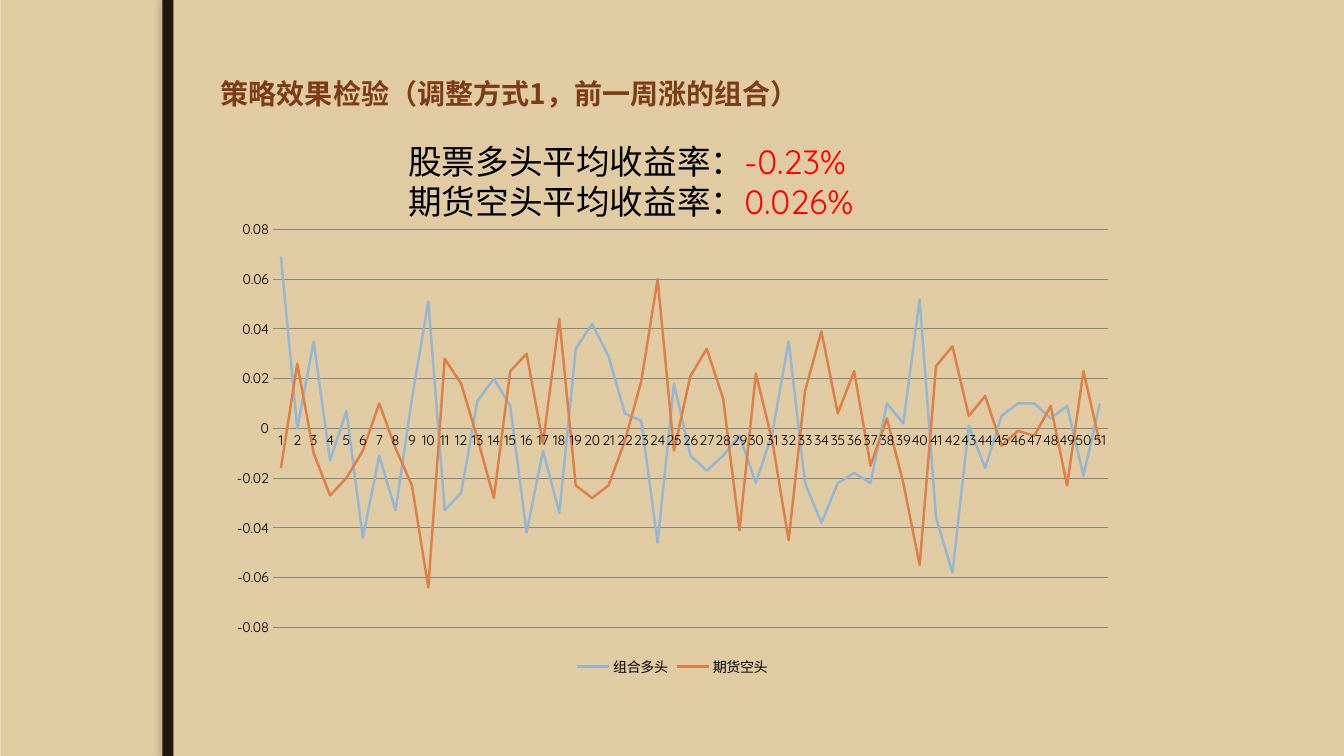
from lxml import etree
from pptx import Presentation
from pptx.chart.data import CategoryChartData
from pptx.dml.color import RGBColor
from pptx.enum.chart import XL_CHART_TYPE, XL_LEGEND_POSITION as LEGEND, XL_TICK_MARK as TICK
from pptx.enum.shapes import MSO_SHAPE as SHAPE
from pptx.enum.text import MSO_ANCHOR as ANCHOR, PP_ALIGN as ALIGN
from pptx.oxml import parse_xml
from pptx.oxml.ns import qn
from pptx.util import Inches, Pt

CJK = "Noto Sans CJK SC"
LATIN = "Quicksand"
GRID = "868686"


def rgb(color):
    return RGBColor.from_string(color)


def add_text(p, text, size=24, color="000000", font=LATIN, bold=False):
    r = p.add_run()
    r.text = text
    r.font.size = Pt(size)
    r.font.bold = bold
    r.font.name = font
    r.font.color.rgb = rgb(color)
    etree.SubElement(r.font._element, qn("a:ea")).set("typeface", CJK)


prs = Presentation()
prs.slide_width, prs.slide_height = Inches(13.33), Inches(7.5)
s = prs.slides.add_slide(prs.slide_layouts[5])
s.background.fill.solid()
s.background.fill.fore_color.rgb = rgb("EBDDC3")

# Backdrop and vertical bar
for left, width, color in [(0.01, 13.33, "E0CBA3"), (1.61, 0.11, "20190B")]:
    sp = s.shapes.add_shape(SHAPE.RECTANGLE, Inches(left), 0, Inches(width), Inches(7.5))
    sp.fill.solid()
    sp.fill.fore_color.rgb = rgb(color)
    sp.line.fill.background()
    sp.shadow.inherit = False
bar_effects = sp._element.spPr.find(qn("a:effectLst"))
bar_effects.append(parse_xml(
    '<a:outerShdw xmlns:a="http://schemas.openxmlformats.org/drawingml/2006/main" '
    'blurRad="38100" dist="38100" dir="10800000" algn="r" rotWithShape="0">'
    '<a:srgbClr val="766E60"><a:alpha val="25000"/></a:srgbClr></a:outerShdw>'))

# Title, brought in front of the backdrop
title = s.shapes.title
s.shapes._spTree.append(title._element)
title.left, title.top = Inches(2.09), Inches(0.3)
title.width, title.height = Inches(10.93), Inches(1.25)
tf = title.text_frame
tf.vertical_anchor = ANCHOR.MIDDLE
tf.paragraphs[0].alignment = ALIGN.LEFT
add_text(tf.paragraphs[0], "策略效果检验（调整方式1，前一周涨的组合）",
         size=20, color="7B3D17", font=CJK, bold=True)

# Weekly returns
returns = [
    ("组合多头", "94B6D2", [
        0.069, 0, 0.035, -0.013, 0.007, -0.044, -0.011, -0.033, 0.012, 0.051,
        -0.033, -0.026, 0.011, 0.02, 0.009, -0.042, -0.009, -0.034, 0.032, 0.042,
        0.029, 0.006, 0.003, -0.046, 0.018, -0.011, -0.017, -0.011, -0.003, -0.022,
        -0.002, 0.035, -0.022, -0.038, -0.022, -0.018, -0.022, 0.01, 0.002, 0.052,
        -0.036, -0.058, 0.001, -0.016, 0.005, 0.01, 0.01, 0.004, 0.009, -0.019, 0.01]),
    ("期货空头", "DD8047", [
        -0.016, 0.026, -0.01, -0.027, -0.02, -0.009, 0.01, -0.008, -0.023, -0.064,
        0.028, 0.018, -0.004, -0.028, 0.023, 0.03, -0.006, 0.044, -0.023, -0.028,
        -0.023, -0.005, 0.019, 0.06, -0.009, 0.021, 0.032, 0.012, -0.041, 0.022,
        -0.005, -0.045, 0.015, 0.039, 0.006, 0.023, -0.015, 0.004, -0.022, -0.055,
        0.025, 0.033, 0.005, 0.013, -0.007, -0.001, -0.003, 0.009, -0.023, 0.023, -0.006]),
]
data = CategoryChartData()
data.categories = [str(week) for week in range(1, 52)]
for name, _, values in returns:
    data.add_series(name, values)
chart = s.shapes.add_chart(XL_CHART_TYPE.LINE, Inches(2.17), Inches(2.1),
                           Inches(9), Inches(4.65), data).chart
chart.has_title = False
chart.font.size = Pt(10)
chart.font.name = LATIN
chart.font.color.rgb = rgb("000000")
chart.has_legend = True
chart.legend.position = LEGEND.BOTTOM
chart.legend.include_in_layout = False
chart.plots[0].vary_by_categories = False
for series, (_, color, _) in zip(chart.plots[0].series, returns):
    series.smooth = False
    series.format.line.width = Pt(1.75)
    series.format.line.color.rgb = rgb(color)

weeks, rates = chart.category_axis, chart.value_axis
for axis in (weeks, rates):
    axis.major_tick_mark = axis.minor_tick_mark = TICK.NONE
weeks.format.line.color.rgb = rgb(GRID)
rates.format.line.fill.background()
rates.major_gridlines.format.line.color.rgb = rgb(GRID)
rates.minimum_scale, rates.maximum_scale, rates.major_unit = -0.08, 0.08, 0.02
rates.tick_labels.number_format = "General"
rates.tick_labels.number_format_is_linked = False

# Average returns
tf = s.shapes.add_textbox(Inches(3.95), Inches(1.35), Inches(5.95), Inches(0.91)).text_frame
tf.word_wrap = True
averages = [("股票多头平均收益率：", "-0.23%"), ("期货空头平均收益率：", "0.026%")]
for i, (label, rate) in enumerate(averages):
    p = tf.add_paragraph() if i else tf.paragraphs[0]
    add_text(p, label)
    add_text(p, rate, color="FF0000")

prs.save("out.pptx")
